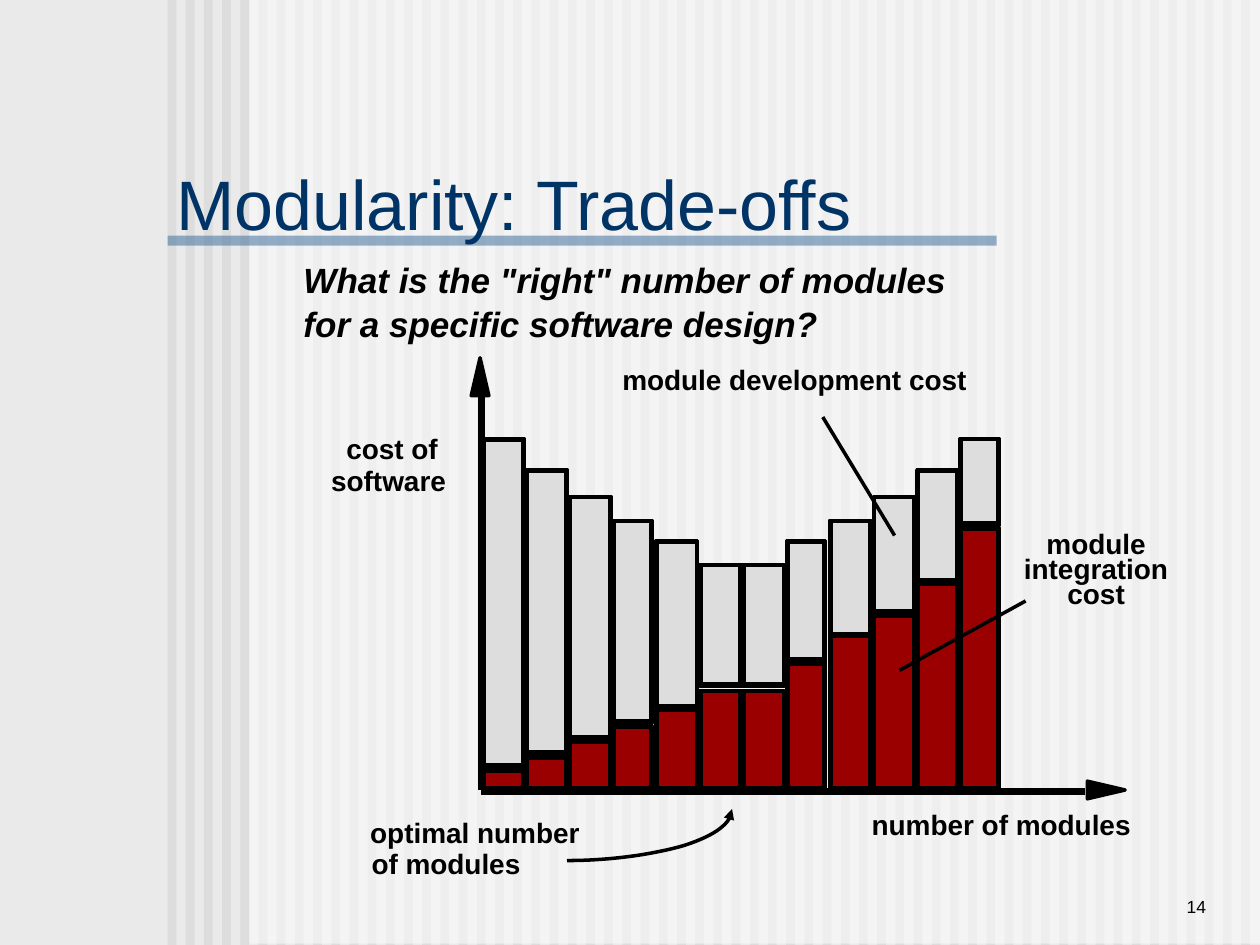
from dataclasses import dataclass

from lxml import etree
from pptx import Presentation
from pptx.dml.color import RGBColor
from pptx.enum.shapes import MSO_CONNECTOR, MSO_SHAPE
from pptx.enum.text import MSO_ANCHOR, MSO_AUTO_SIZE, PP_ALIGN
from pptx.oxml.ns import qn
from pptx.util import Inches, Pt

RECTANGLE = MSO_SHAPE.RECTANGLE
STRAIGHT = MSO_CONNECTOR.STRAIGHT
LEFT, CENTER, RIGHT = PP_ALIGN.LEFT, PP_ALIGN.CENTER, PP_ALIGN.RIGHT
TOP, BOTTOM = MSO_ANCHOR.TOP, MSO_ANCHOR.BOTTOM
Point = tuple[float, float]


@dataclass(frozen=True)
class Theme:
    font: str = "Arial"
    ink: str = "000000"
    page: str = "EAEAEA"
    stripe: str = "DDDDDD"
    veil: str = "FFFFFF"
    rule: str = "336699"
    title: str = "003366"
    development: str = "DDDDDD"
    integration: str = "9A0000"
    title_size: int = 40
    question_size: int = 20
    label_size: int = 16
    number_size: int = 10
    thin: int = 2
    thick: int = 4


THEME = Theme()


@dataclass(frozen=True)
class Label:
    lines: tuple[str, ...]
    left: float
    top: float
    width: float
    height: float
    size: int = THEME.label_size
    color: str = THEME.ink
    bold: bool = True
    italic: bool = False
    align: PP_ALIGN = LEFT
    anchor: MSO_ANCHOR = TOP
    spacing: float = 1.0
    wrap: bool = False
    inset_x: float = 0.1
    inset_y: float = 0.05


@dataclass(frozen=True)
class Bar:
    top: float
    light_bottom: float
    red_top: float


LABELS = (
    Label(("Modularity: Trade-offs",), 1.33, 1.25, 5.54, 0.72, THEME.title_size,
          THEME.title, bold=False, anchor=BOTTOM, wrap=True, inset_x=0.07, inset_y=0.03),
    Label(('What is the "right" number of modules',), 2.31, 2, 5.38, 0.43,
          THEME.question_size, italic=True),
    Label(("for a specific software design?",), 2.31, 2.35, 4.28, 0.43,
          THEME.question_size, italic=True),
    Label(("optimal number",), 2.84, 6.42, 1.86, 0.36),
    Label(("of modules",), 2.85, 6.67, 1.39, 0.36),
    Label(("cost of",), 2.65, 3.38, 0.93, 0.36),
    Label(("software",), 2.53, 3.63, 1.11, 0.36),
    Label(("number of modules",), 6.82, 6.36, 2.26, 0.36),
    Label(("module", "integration", "cost"), 8.03, 4.19, 1.34, 0.7,
          align=CENTER, spacing=0.75),
    Label(("module development cost",), 4.84, 2.83, 2.99, 0.36),
    Label(("14",), 8.25, 6.83, 1.42, 0.5, THEME.number_size, bold=False,
          align=RIGHT, anchor=BOTTOM, wrap=True),
)

BARS = (
    Bar(3.49, 6.07, 6.12), Bar(3.74, 5.97, 6.02), Bar(3.95, 5.85, 5.89),
    Bar(4.14, 5.72, 5.77), Bar(4.30, 5.60, 5.64), Bar(4.49, 5.43, 5.49),
    Bar(4.49, 5.43, 5.49), Bar(4.30, 5.23, 5.27), Bar(4.14, 5.03, 5.05),
    Bar(3.95, 4.85, 4.89), Bar(3.74, 4.60, 4.64), Bar(3.49, 4.15, 4.20),
)
BAR_LEFT, BAR_LAST, BAR_BASE = 3.84, 7.63, 6.25
STRIPE_COUNT, STRIPE_LEFT, STRIPE_LAST = 60, 1.33, 9.85


def rgb(color: str) -> RGBColor:
    return RGBColor.from_string(color)


def add_box(page, left: float, top: float, width: float, height: float,
            fill: str | None = None, line: int = 0, opacity: int = 100) -> None:
    box = page.shapes.add_shape(RECTANGLE, Inches(left), Inches(top),
                                Inches(width), Inches(height))
    box.shadow.inherit = False
    if fill:
        box.fill.solid()
        box.fill.fore_color.rgb = rgb(fill)
    else:
        box.fill.background()
    if line:
        box.line.color.rgb = rgb(THEME.ink)
        box.line.width = Pt(line)
    else:
        box.line.fill.background()
    if opacity < 100:
        tint = box.element.spPr.find(qn("a:solidFill"))[0]
        etree.SubElement(tint, qn("a:alpha"), val=str(opacity * 1000))


def add_label(page, label: Label) -> None:
    box = page.shapes.add_textbox(Inches(label.left), Inches(label.top),
                                  Inches(label.width), Inches(label.height))
    frame = box.text_frame
    frame.word_wrap = label.wrap
    frame.auto_size = MSO_AUTO_SIZE.NONE
    frame.vertical_anchor = label.anchor
    frame.margin_left = frame.margin_right = Inches(label.inset_x)
    frame.margin_top = frame.margin_bottom = Inches(label.inset_y)
    for index, line in enumerate(label.lines):
        para = frame.add_paragraph() if index else frame.paragraphs[0]
        para.alignment = label.align
        para.line_spacing = label.spacing
        span = para.add_run()
        span.text = line
        span.font.name = THEME.font
        span.font.size = Pt(label.size)
        span.font.bold = label.bold
        span.font.italic = label.italic
        span.font.color.rgb = rgb(label.color)


def add_line(page, start: Point, end: Point, width: int) -> None:
    line = page.shapes.add_connector(STRAIGHT, Inches(start[0]), Inches(start[1]),
                                     Inches(end[0]), Inches(end[1]))
    line.line.color.rgb = rgb(THEME.ink)
    line.line.width = Pt(width)
    etree.SubElement(line.element.spPr, qn("a:effectLst"))


def add_outline(page, points: list[Point], closed: bool):
    corners = [(Inches(x), Inches(y)) for x, y in points]
    builder = page.shapes.build_freeform(*corners[0])
    builder.add_line_segments(corners[1:], close=closed)
    outline = builder.convert_to_shape()
    outline.shadow.inherit = False
    if closed:
        outline.fill.solid()
        outline.fill.fore_color.rgb = rgb(THEME.ink)
    else:
        outline.fill.background()
    outline.line.color.rgb = rgb(THEME.ink)
    outline.line.width = Pt(THEME.thin)
    return outline


def bezier(a: Point, b: Point, c: Point, d: Point, steps: int = 16) -> list[Point]:
    def blend(axis: int, t: float) -> float:
        u = 1 - t
        return (u**3 * a[axis] + 3 * u * u * t * b[axis]
                + 3 * u * t * t * c[axis] + t**3 * d[axis])
    return [(blend(0, i / steps), blend(1, i / steps)) for i in range(steps + 1)]


def add_background(page) -> None:
    page.background.fill.solid()
    page.background.fill.fore_color.rgb = rgb(THEME.page)
    step = (STRIPE_LAST - STRIPE_LEFT) / (STRIPE_COUNT - 1)
    for index in range(STRIPE_COUNT):
        add_box(page, STRIPE_LEFT + index * step, 0, 0.07, 7.5, THEME.stripe)
    add_box(page, 1.98, -0.01, 8.02, 7.5, THEME.veil, opacity=50)
    add_box(page, 1.33, 1.87, 6.58, 0.08, THEME.rule, opacity=50)


def add_bars(page) -> None:
    step = (BAR_LAST - BAR_LEFT) / (len(BARS) - 1)
    for index, bar in enumerate(BARS):
        left = BAR_LEFT + index * step
        width = 0.29 if index % 4 == 3 else 0.31
        for top, bottom, color in ((bar.red_top, BAR_BASE, THEME.integration),
                                   (bar.top, bar.light_bottom, THEME.development)):
            add_box(page, left, top, width, bottom - top, color, THEME.thin)
            add_box(page, left - 0.01, top - 0.01, width + 0.02, bottom - top + 0.03,
                    line=THEME.thin)


def add_axes_and_pointers(page) -> None:
    add_outline(page, [(8.93, 6.27), (8.63, 6.34), (8.63, 6.2)], closed=True)
    add_line(page, (3.82, 6.28), (8.61, 6.28), THEME.thick)
    add_outline(page, [(3.81, 2.84), (3.88, 3.14), (3.74, 3.14)], closed=True)
    add_line(page, (3.82, 6.27), (3.82, 3.13), THEME.thick)
    add_line(page, (6.53, 3.31), (7.1, 4.25), THEME.thin)
    add_line(page, (8.14, 4.77), (7.14, 5.32), THEME.thin)
    curve = bezier((5.81, 6.42), (5.81, 6.53), (5.68, 6.63), (5.43, 6.71))
    curve += bezier((5.43, 6.71), (5.19, 6.78), (4.85, 6.83), (4.5, 6.83))[1:]
    pointer = add_outline(page, curve, closed=False)
    etree.SubElement(pointer.element.spPr.find(qn("a:ln")), qn("a:headEnd"), type="triangle")


def main() -> None:
    deck = Presentation()
    deck.slide_width, deck.slide_height = Inches(10), Inches(7.5)
    page = deck.slides.add_slide(deck.slide_layouts[6])
    add_background(page)
    add_bars(page)
    add_axes_and_pointers(page)
    for label in LABELS:
        add_label(page, label)
    deck.save("out.pptx")


if __name__ == "__main__":
    main()
